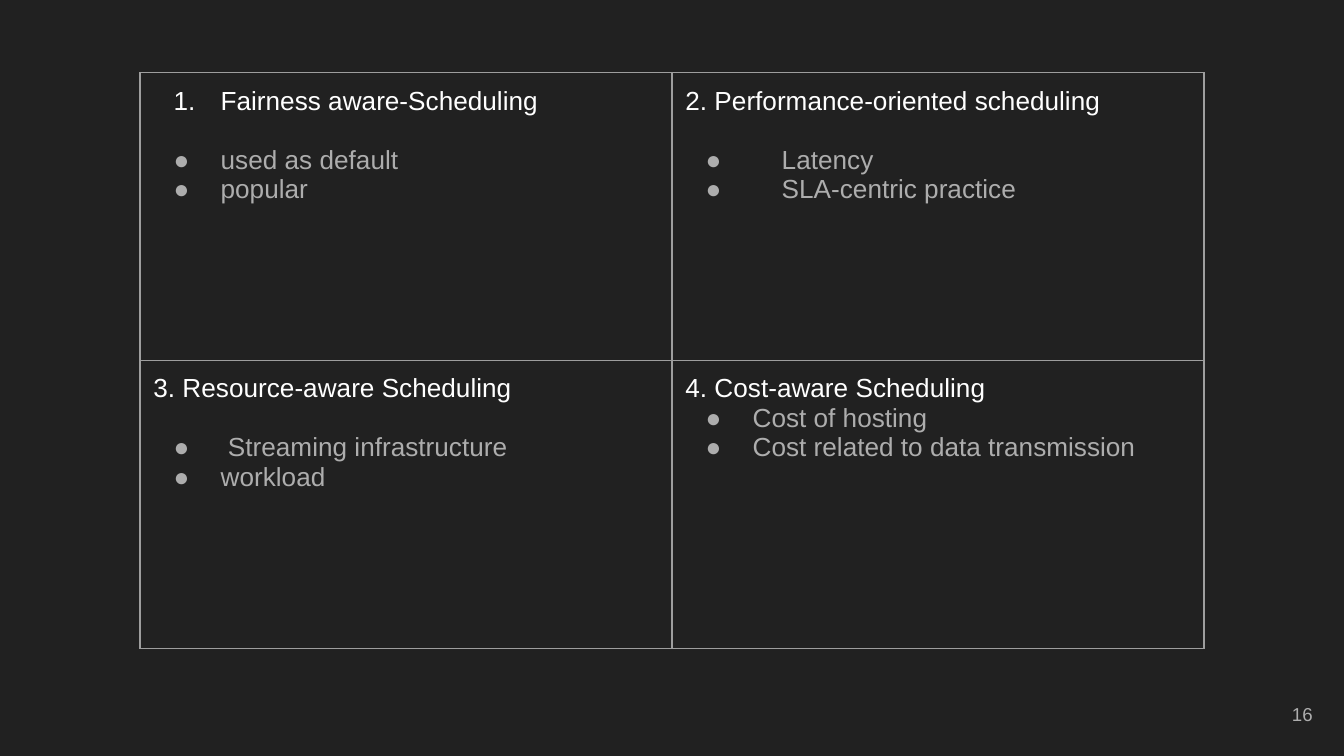
import pptx
import pptx.util
import pptx.dml.color
import pptx.enum.text
import pptx.oxml
import pptx.oxml.ns

Pt = pptx.util.Pt
ALIGN = pptx.enum.text.PP_ALIGN
ANCHOR = pptx.enum.text.MSO_ANCHOR
WHITE, GREY, LINE, DARK = "FFFFFF", "ADADAD", "9E9E9E", "212121"
HANG = 10.8  # left edge of every bullet
BODY = 36    # usual left edge of bulleted text


def color(code):
    return pptx.dml.color.RGBColor.from_string(code)


def node(tag, body="", **attrs):
    pairs = "".join(f' {key}="{val}"' for key, val in attrs.items())
    space = pptx.oxml.ns.nsdecls("a")
    return pptx.oxml.parse_xml(f"<a:{tag} {space}{pairs}>{body}</a:{tag}>")


def write(para, text, font="Arial", size=14, ink=GREY, align=ALIGN.LEFT,
          after=0, mark=None, left=BODY):
    """Put text in a paragraph; mark is a bullet sign or 'auto' for numbers."""
    run = para.add_run()
    run.text = text
    run.font.name, run.font.size = font, Pt(size)
    run.font.color.rgb = color(ink)
    para.alignment = align
    para.space_after = Pt(after)
    if mark:
        props = para._p.get_or_add_pPr()
        props.set("marL", str(Pt(left)))
        props.set("indent", str(Pt(HANG) - Pt(left)))
        props.append(node("buClr", f'<a:srgbClr val="{ink}"/>'))
        if mark == "auto":
            props.append(node("buAutoNum", type="arabicPeriod"))
        else:
            props.append(node("buFont", typeface=font))
            props.append(node("buChar", char=mark))


class Deck:
    pad = 7.2
    edge = 0.75

    def __init__(self, wide, high):
        self.file = pptx.Presentation()
        self.file.slide_width, self.file.slide_height = Pt(wide), Pt(high)
        self.slide = self.file.slides.add_slide(self.file.slide_layouts[6])
        fill = self.slide.background.fill
        fill.solid()
        fill.fore_color.rgb = color(DARK)

    def inset(self, item):
        item.margin_left = item.margin_right = Pt(self.pad)
        item.margin_top = item.margin_bottom = Pt(self.pad)

    def label(self, x, y, wide, high, text, **style):
        box = self.slide.shapes.add_textbox(Pt(x), Pt(y), Pt(wide), Pt(high))
        frame = box.text_frame
        frame.word_wrap = True
        frame.vertical_anchor = ANCHOR.MIDDLE
        self.inset(frame)
        write(frame.paragraphs[0], text, **style)

    def cell(self, cell, lines):
        self.inset(cell)
        props = cell._tc.get_or_add_tcPr()
        paint = f'<a:solidFill><a:srgbClr val="{LINE}"/></a:solidFill>'
        for side in ("lnL", "lnR", "lnT", "lnB"):
            props.append(node(side, paint, w=Pt(self.edge)))
        cell.fill.background()
        frame = cell.text_frame
        for i, (text, style) in enumerate(lines):
            para = frame.add_paragraph() if i else frame.paragraphs[0]
            write(para, text, **style)

    def table(self, x, y, wide, high, rows):
        size = len(rows), len(rows[0])
        grid = self.slide.shapes.add_table(
            *size, Pt(x), Pt(y), Pt(wide), Pt(high)).table
        grid.first_row = grid.horz_banding = False
        for col in grid.columns:
            col.width = Pt(wide / size[1])
        for r, row in enumerate(rows):
            grid.rows[r].height = Pt(high / size[0])
            for c, lines in enumerate(row):
                self.cell(grid.cell(r, c), lines)


def head(text, after=16, **style):
    return text, dict(ink=WHITE, after=after, **style)


def item(text, left=BODY):
    return text, dict(mark="●", left=left)


deck = Deck(720, 405)

# Four kinds of scheduling
deck.table(75, 39, 570, 308.4, [
    [
        [head("Fairness aware-Scheduling", mark="auto"),
         item("used as default"), item("popular")],
        [head("2. Performance-oriented scheduling"),
         item("Latency", left=51.6), item("SLA-centric practice", left=51.6)],
    ],
    [
        [head("3. Resource-aware Scheduling"),
         item("Streaming infrastructure", left=39.9), item("workload")],
        [head("4. Cost-aware Scheduling", after=0),
         item("Cost of hosting"), item("Cost related to data transmission")],
    ],
])

# Page number
deck.label(667.1, 367.2, 43.2, 31, "16", size=10, align=ALIGN.RIGHT)

deck.file.save("out.pptx")
